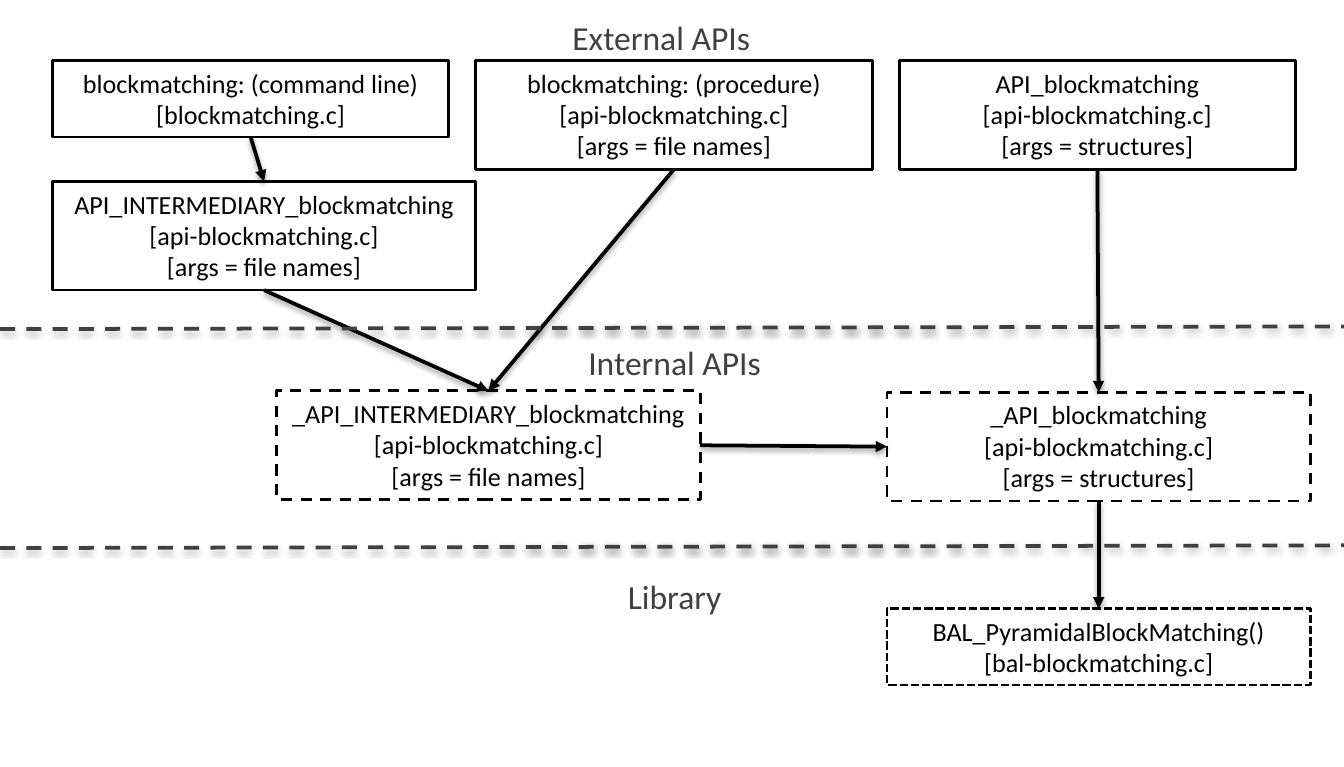
from lxml import etree
from pptx import Presentation
from pptx.dml.color import RGBColor
from pptx.enum import dml, shapes, text
from pptx.oxml import ns
from pptx.util import Inches, Pt

BLACK, GREY = "000000", "404040"
DASH, SHORT_DASH = dml.MSO_LINE.DASH, dml.MSO_LINE.SQUARE_DOT
TOP, LEFT, BOTTOM, RIGHT = range(4)
API_FILE = "[api-blockmatching.c]"
FILES, STRUCTURES = "[args = file names]", "[args = structures]"


def rgb(value):
    """Turn a hex string into a colour."""
    return RGBColor.from_string(value)


def sub(parent, tag, **attrs):
    """Append a DrawingML element."""
    return etree.SubElement(parent, ns.qn(tag), attrs)


def write(shape, lines, size=14, color=BLACK, font="Calibri"):
    """Fill a shape with centred lines of text."""
    tf = shape.text_frame
    tf.word_wrap = True
    tf.vertical_anchor = text.MSO_ANCHOR.TOP
    for i, line in enumerate(lines):
        p = tf.add_paragraph() if i else tf.paragraphs[0]
        p.alignment = text.PP_ALIGN.CENTER
        r = p.add_run()
        r.text = line
        r.font.size = Pt(size)
        r.font.name = font
        r.font.color.rgb = rgb(color)


def style_line(line, width, color=BLACK, dash=None):
    """Set the width, colour and dash of a line."""
    line.width = Pt(width)
    line.color.rgb = rgb(color)
    if dash:
        line.dash_style = dash


def add_box(s, x, y, w, lines, dash=None):
    """Add an outlined box whose height follows its number of lines."""
    h = 0.09 + 0.24 * len(lines)
    sp = s.shapes.add_shape(shapes.MSO_SHAPE.RECTANGLE,
                            Inches(x), Inches(y), Inches(w), Inches(h))
    sp.shadow.inherit = False
    sp.fill.background()
    style_line(sp.line, 1.5, dash=dash)
    write(sp, lines)
    return sp


def add_heading(s, x, y, title):
    """Add the heading of a layer."""
    sp = s.shapes.add_textbox(Inches(x), Inches(y), Inches(3.56), Inches(0.4))
    write(sp, [title], size=18, color=GREY)


def add_line(s, start=(0, 0), end=(0, 0), **style):
    """Add a straight line with a soft shadow below it."""
    line = s.shapes.add_connector(shapes.MSO_CONNECTOR.STRAIGHT,
                                  *map(Inches, (*start, *end)))
    style_line(line.line, 2, **style)
    effects = sub(line._element.spPr, "a:effectLst")
    shadow = sub(effects, "a:outerShdw", blurRad=str(Pt(3.1)), dist=str(Pt(1.6)),
                 dir="5400000", rotWithShape="0")
    sub(sub(shadow, "a:srgbClr", val=BLACK), "a:alpha", val="38000")
    return line


def add_arrow(s, source, target, leave=BOTTOM, enter=TOP):
    """Join two boxes with an arrow."""
    line = add_line(s)
    line.begin_connect(source, leave)
    line.end_connect(target, enter)
    sub(line.line._get_or_add_ln(), "a:tailEnd", type="triangle")


def main():
    """Build the slide of API layers."""
    prs = Presentation()
    prs.slide_width, prs.slide_height = Inches(10), Inches(5.71)
    s = prs.slides.add_slide(prs.slide_layouts[6])

    command, procedure, api = [
        add_box(s, 0.39 + 3.15 * i, 0.45, 2.95, lines) for i, lines in enumerate([
            ["blockmatching: (command line)", "[blockmatching.c]"],
            ["blockmatching: (procedure)", API_FILE, FILES],
            ["API_blockmatching", API_FILE, STRUCTURES]])]
    intermediary = add_box(s, 0.39, 1.35, 3.15,
                           ["API_INTERMEDIARY_blockmatching", API_FILE, FILES])
    inner_intermediary = add_box(s, 2.06, 2.91, 3.15,
                                 ["_API_INTERMEDIARY_blockmatching", API_FILE, FILES], DASH)
    inner_api = add_box(s, 6.6, 2.92, 3.15,
                        ["_API_blockmatching", API_FILE, STRUCTURES], DASH)
    library = add_box(s, 6.6, 4.53, 3.15,
                      ["BAL_PyramidalBlockMatching()", "[bal-blockmatching.c]"], SHORT_DASH)

    for source, target in [(command, intermediary), (procedure, inner_intermediary),
                           (intermediary, inner_intermediary), (api, inner_api),
                           (inner_api, library)]:
        add_arrow(s, source, target)
    add_arrow(s, inner_intermediary, inner_api, RIGHT, LEFT)

    for x, y, title in [(3.14, 0.08, "External APIs"), (3.24, 2.5, "Internal APIs"),
                        (3.24, 4.24, "Library")]:
        add_heading(s, x, y, title)
    for y in (2.45, 4.08):
        add_line(s, (0, y), (10, y - 0.02), color=GREY, dash=DASH)

    prs.save("out.pptx")


main()
